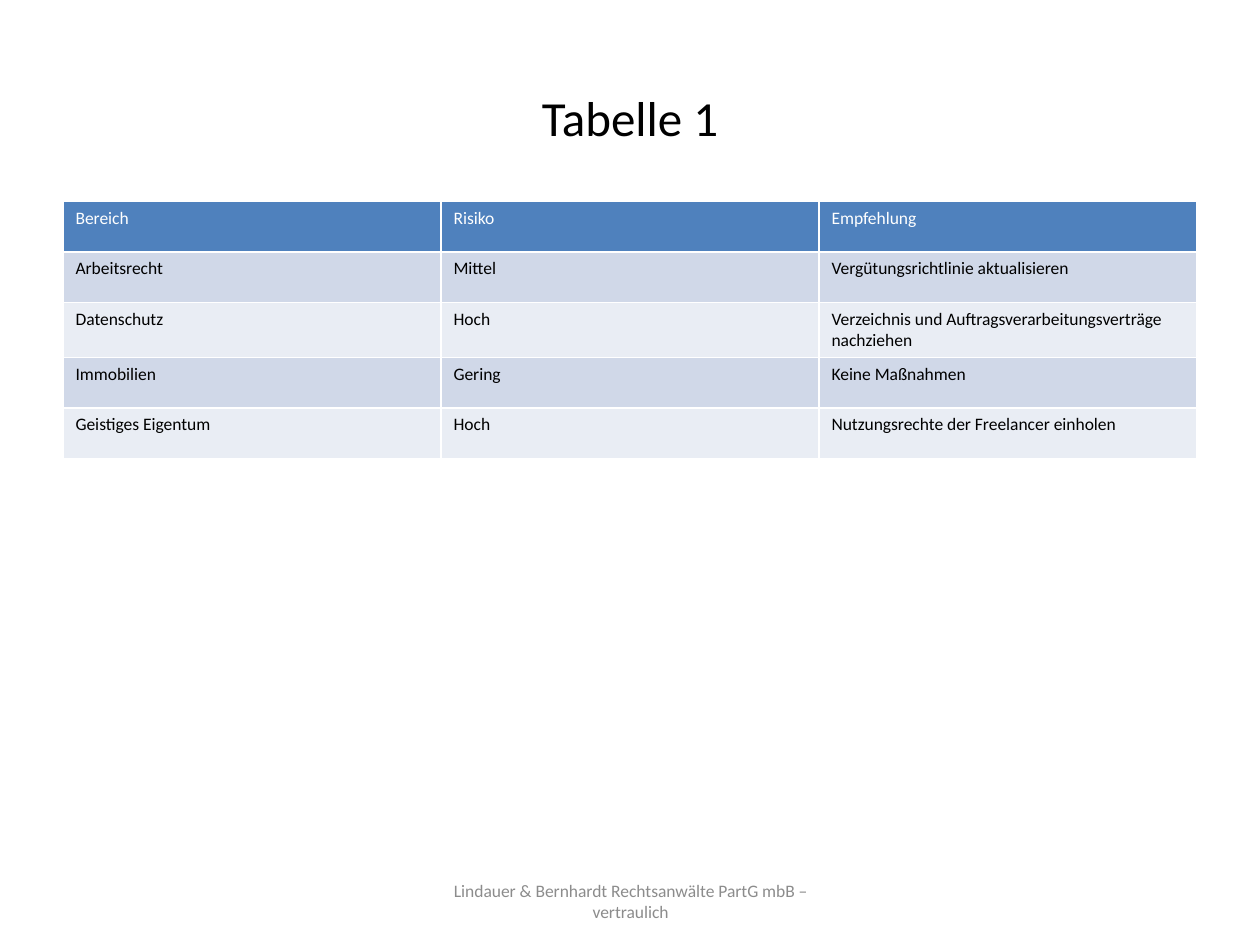
from pptx import Presentation
from pptx.dml.color import RGBColor as Rgb
from pptx.enum.text import MSO_ANCHOR as Anchor, PP_ALIGN as Align

PX = 9144


def px(*vals):
    return [val * PX for val in vals]


def style(frame, size, color, align):
    para = frame.paragraphs[0]
    para.alignment = align
    form = {"name": "Calibri", "size": size * 12700, "bold": False}
    for key, val in form.items():
        setattr(para.font, key, val)
    para.font.color.rgb = Rgb.from_string(color)


deck = Presentation()
deck.slide_width, deck.slide_height = px(1000, 750)
slide = deck.slides.add_slide(deck.slide_layouts[5])

title = slide.shapes.title
title.left, title.top, title.width, title.height = px(50, 30, 900, 125)
title.text_frame.text = "Tabelle 1"
title.text_frame.vertical_anchor = Anchor.MIDDLE
style(title.text_frame, 28, "000000", Align.CENTER)

rows = [
    ("Bereich", "Risiko", "Empfehlung"),
    ("Arbeitsrecht", "Mittel", "Vergütungsrichtlinie aktualisieren"),
    ("Datenschutz", "Hoch", "Verzeichnis und Auftragsverarbeitungsverträge nachziehen"),
    ("Immobilien", "Gering", "Keine Maßnahmen"),
    ("Geistiges Eigentum", "Hoch", "Nutzungsrechte der Freelancer einholen"),
]
table = slide.shapes.add_table(len(rows), 3, *px(50, 160, 900, 200)).table
for r, row in enumerate(rows):
    fill = ("E9EDF4", "D0D8E8")[r % 2] if r else "4F81BD"
    color = "000000" if r else "FFFFFF"
    for c, text in enumerate(row):
        cell = table.cell(r, c)
        cell.text = text
        cell.fill.solid()
        cell.fill.fore_color.rgb = Rgb.from_string(fill)
        style(cell.text_frame, 10, color, Align.LEFT)

foot = slide.shapes.add_textbox(*px(342, 695, 317, 40)).text_frame
for key, val in {"word_wrap": True, "vertical_anchor": Anchor.MIDDLE}.items():
    setattr(foot, key, val)
foot.text = "Lindauer & Bernhardt Rechtsanwälte PartG mbB – vertraulich"
style(foot, 10, "8C8C8C", Align.CENTER)

deck.save("out.pptx")
